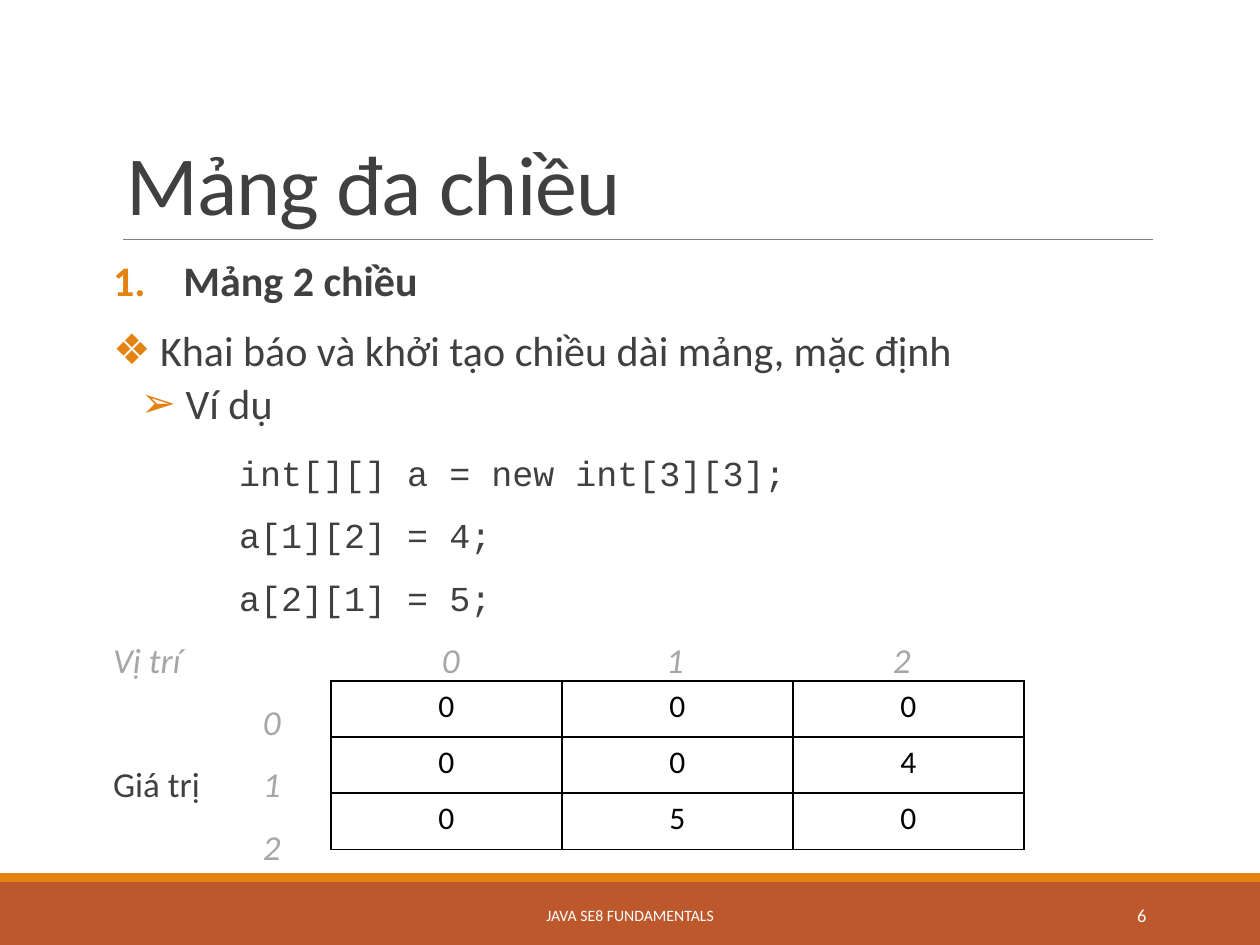
import pptx
import pptx.util
import pptx.dml.color
import pptx.enum.shapes
import pptx.enum.text
import pptx.oxml
import pptx.oxml.ns

Cm = pptx.util.Cm
Pt = pptx.util.Pt
RGBColor = pptx.dml.color.RGBColor
Align = pptx.enum.text.PP_ALIGN
Anchor = pptx.enum.text.MSO_ANCHOR

RUST = RGBColor(0xBD, 0x58, 0x2C)
ORANGE = RGBColor(0xE4, 0x83, 0x12)
RULE_GRAY = RGBColor(0x80, 0x80, 0x80)
DARK = RGBColor(0x40, 0x40, 0x40)
LIGHT = RGBColor(0xA6, 0xA6, 0xA6)
WHITE = RGBColor(0xFF, 0xFF, 0xFF)
BLACK = RGBColor(0, 0, 0)
NAMESPACE = pptx.oxml.ns.nsdecls("a")


def add_xml(parent, tag, attributes="", content="", index=None):
    element = pptx.oxml.parse_xml(f"<a:{tag} {NAMESPACE} {attributes}>{content}</a:{tag}>")
    parent.insert(len(parent) if index is None else index, element)


def set_font(font, size, color, name="Calibri"):
    font.size = Pt(size)
    font.color.rgb = color
    font.name = name


deck = pptx.Presentation()
deck.slide_width = Cm(25.4)
deck.slide_height = Cm(19.05)
page = deck.slides.add_slide(deck.slide_layouts[5])

for top, height, color in [(17.78, 1.27, RUST), (17.6, 0.18, ORANGE)]:
    band = page.shapes.add_shape(
        pptx.enum.shapes.MSO_SHAPE.RECTANGLE, 0, Cm(top), deck.slide_width, Cm(height))
    band.shadow.inherit = False
    band.fill.solid()
    band.fill.fore_color.rgb = color
    band.line.fill.background()

rule = page.shapes.add_connector(
    pptx.enum.shapes.MSO_CONNECTOR.STRAIGHT, Cm(2.48), Cm(4.83), Cm(23.24), Cm(4.83))
rule.line.color.rgb = RULE_GRAY
rule.line.width = Pt(0.5)
add_xml(rule.element.spPr, "effectLst")

title = page.shapes.title
title.left, title.top, title.width, title.height = Cm(2.29), Cm(0.78), Cm(20.96), Cm(4.03)
title.text_frame.text = "Mảng đa chiều"
title.text_frame.vertical_anchor = Anchor.BOTTOM
title.text_frame.auto_size = pptx.enum.text.MSO_AUTO_SIZE.NONE
para = title.text_frame.paragraphs[0]
para.alignment = Align.LEFT
para.line_spacing = 0.85
set_font(para.font, 48, DARK)
para.runs[0].font._element.set("spc", "-50")

box = page.shapes.add_textbox(Cm(2.28), Cm(5.13), Cm(20.96), Cm(11.18))
frame = box.text_frame
frame.word_wrap = True
frame.margin_left = frame.margin_right = 0

NUMBER = ("buAutoNum", 'type="arabicPeriod"')
DIAMOND = ("buChar", 'char="❖"')
ARROW = ("buChar", 'char="➢"')
CODE_INDENT = (2.54, 0)
INDEX_INDENT = (3.02, 0)
INDEX_TABS = [3.02]
HEADING_TABS = [6.63, 11.15, 15.72]
lines = [
    ([("Mảng 2 chiều", DARK)], 24, "Calibri", NUMBER, (1.42, -1.42), []),
    ([(" Khai báo và khởi tạo chiều dài mảng, mặc định", DARK)], 24, "Calibri", DIAMOND, (0.25, -0.25), []),
    ([(" Ví dụ", DARK)], 24, "Calibri", ARROW, (1.07, -0.51), []),
    ([("int[][] a = new int[3][3];", DARK)], 20, "Courier New", None, CODE_INDENT, []),
    ([("a[1][2] = 4;", DARK)], 20, "Courier New", None, CODE_INDENT, []),
    ([("a[2][1] = 5;", DARK)], 20, "Courier New", None, CODE_INDENT, []),
    ([("Vị trí\t0\t1\t2", LIGHT)], 20, "Calibri", None, None, HEADING_TABS),
    ([("0", LIGHT)], 20, "Calibri", None, INDEX_INDENT, []),
    ([("Giá trị", DARK), ("\t1", LIGHT)], 20, "Calibri", None, None, INDEX_TABS),
    ([("2", LIGHT)], 20, "Calibri", None, INDEX_INDENT, []),
]
for number, (spans, size, font_name, bullet, indents, tabs) in enumerate(lines):
    para = frame.paragraphs[0] if number == 0 else frame.add_paragraph()
    properties = para._p.get_or_add_pPr()
    if indents:
        properties.set("marL", str(Cm(indents[0])))
        properties.set("indent", str(Cm(indents[1])))
    if bullet:
        add_xml(properties, "buClr", content=f'<a:srgbClr val="{ORANGE}"/>')
        add_xml(properties, "buFont", 'typeface="Calibri"')
        add_xml(properties, *bullet)
    if tabs:
        stops = "".join(f'<a:tab pos="{Cm(stop)}" algn="l"/>' for stop in tabs)
        add_xml(properties, "tabLst", content=stops)
    para.level = 1 if bullet == ARROW else 0
    para.line_spacing = 0.9
    para.space_before = Pt(2 if bullet == ARROW else 12)
    para.space_after = Pt(4 if bullet == ARROW else 2)
    set_font(para.font, size, spans[0][1], font_name)
    para.font.bold = bullet == NUMBER
    for text, color in spans:
        span = para.add_run()
        span.text = text
        if color == LIGHT:
            span.font.color.rgb = LIGHT
            span.font.italic = True

footers = [
    ("JAVA SE8 FUNDAMENTALS", 7.67, 10.06, Align.CENTER, 9),
    ("6", 20.62, 2.74, Align.RIGHT, 10.5),
]
for text, left, width, alignment, size in footers:
    footer = page.shapes.add_textbox(Cm(left), Cm(17.94), Cm(width), Cm(1.02))
    footer.text_frame.word_wrap = True
    footer.text_frame.vertical_anchor = Anchor.MIDDLE
    para = footer.text_frame.paragraphs[0]
    para.text = text
    para.alignment = alignment
    set_font(para.font, size, WHITE)

values = [[0, 0, 0], [0, 0, 4], [0, 5, 0]]
table = page.shapes.add_table(3, 3, Cm(6.67), Cm(13.73), Cm(13.97), Cm(3.39)).table
table.first_row = False
table.horz_banding = False
border = f'<a:solidFill><a:srgbClr val="{BLACK}"/></a:solidFill>'
for row, row_values in enumerate(values):
    for column, value in enumerate(row_values):
        cell = table.cell(row, column)
        cell.fill.background()
        for index, side in enumerate(["lnL", "lnR", "lnT", "lnB"]):
            add_xml(cell._tc.get_or_add_tcPr(), side, f'w="{Pt(1)}"', border, index)
        para = cell.text_frame.paragraphs[0]
        para.text = str(value)
        para.alignment = Align.CENTER
        set_font(para.font, 18, BLACK)

deck.save("out.pptx")
